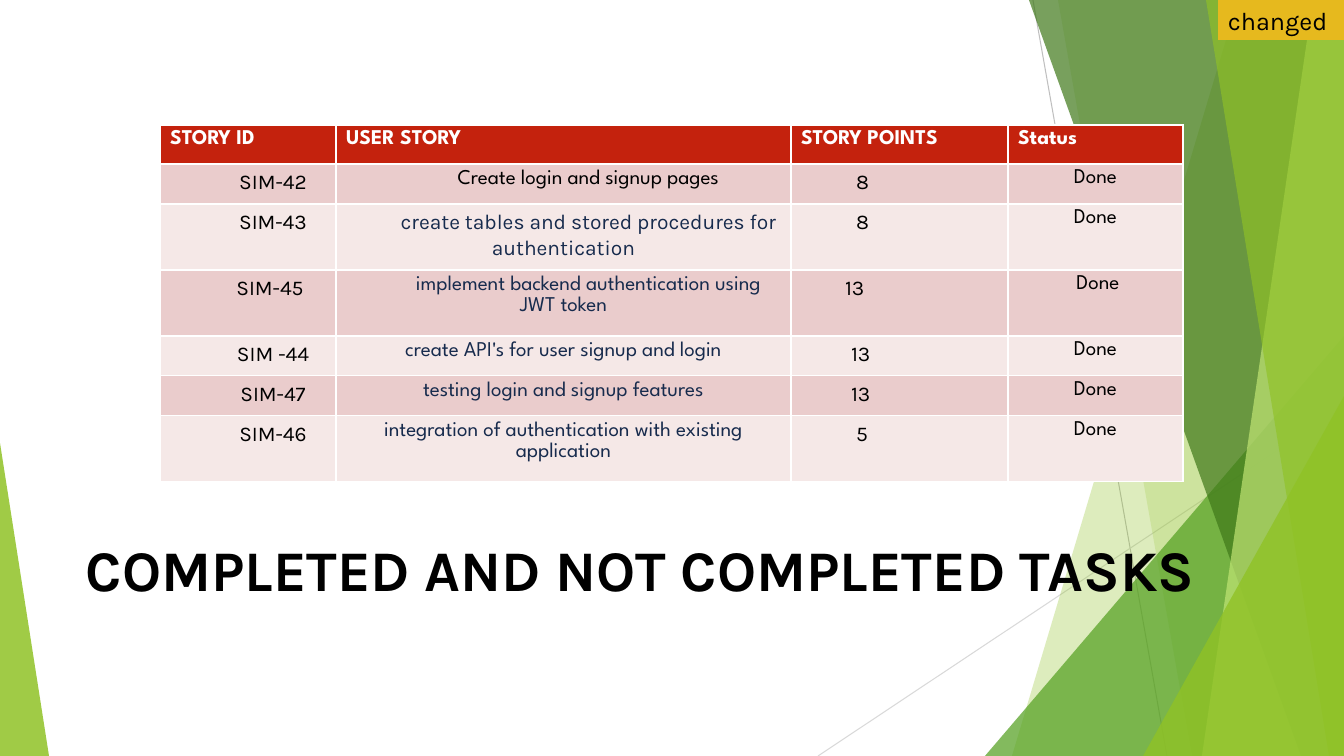
from lxml import etree
from pptx import Presentation
from pptx.dml.color import RGBColor
from pptx.enum.shapes import MSO_CONNECTOR, MSO_SHAPE
from pptx.enum.text import MSO_ANCHOR, PP_ALIGN
from pptx.oxml.ns import qn
from pptx.util import Pt

SCALE = 914400 / 100.8
WIDTH, HEIGHT = 1344, 756
KARLA, SPARTAN = "Karla", "League Spartan"
BLACK, WHITE, NAVY = "000000", "FFFFFF", "172B4D"
RED, PINK, PALE = "C4220D", "EACCCC", "F5E8E7"
LIME, GREEN, FOREST, LIGHT, GOLD = "90C226", "54A021", "3F7819", "C0E474", "E6B91E"

COLUMNS = [176, 455, 217, 175]
ROWS = [39, 40, 66, 66, 40, 40, 66]
HEADERS = ["STORY ID", "USER STORY", "STORY POINTS", "Status"]
# Each cell is its text and first-line indent; the story adds font and colour.
STORIES = [
    (("SIM-42", 50), ("Create login and signup pages", 50, SPARTAN, BLACK), ("8", 55), ("Done", 0)),
    (("SIM-43", 50), ("create tables and stored procedures for authentication", 50, KARLA, NAVY),
     ("8", 55), ("Done", 0)),
    (("SIM-45", 44), ("implement backend authentication using JWT token", 50, SPARTAN, NAVY),
     ("13", 44), ("Done", 5)),
    (("SIM -44", 50), ("create API's for user signup and login", 0, SPARTAN, NAVY),
     ("13", 50), ("Done", 0)),
    (("SIM-47", 50), ("testing login and signup features", 0, SPARTAN, NAVY),
     ("13", 50), ("Done", 0)),
    (("SIM-46", 50), ("integration of authentication with existing application", 0, SPARTAN, NAVY),
     ("5", 55), ("Done", 0)),
]


def px(n):
    return round(n * SCALE)


def rgb(color):
    return RGBColor.from_string(color)


def write(tf, text, font=KARLA, size=15, color=BLACK, bold=False,
          align=PP_ALIGN.LEFT, indent=0, spacing=None, after=0):
    p = tf.paragraphs[0]
    p.alignment = align
    p.space_after = Pt(after)
    if spacing:
        p.line_spacing = spacing
    if indent:
        pPr = p._p.get_or_add_pPr()
        pPr.set("marL", "0")
        pPr.set("indent", str(px(indent)))
    r = p.add_run()
    r.text = text
    r.font.name, r.font.size, r.font.bold = font, Pt(size), bold
    r.font.color.rgb = rgb(color)


class Deck:
    def __init__(self):
        self.prs = Presentation()
        self.prs.slide_width, self.prs.slide_height = px(WIDTH), px(HEIGHT)
        self.slide = self.prs.slides.add_slide(self.prs.slide_layouts[6])
        self.shapes = self.slide.shapes

    def paint(self, sp, color, opacity=100):
        sp.shadow.inherit = False
        sp.line.fill.background()
        sp.fill.solid()
        sp.fill.fore_color.rgb = rgb(color)
        if opacity < 100:
            clr = sp._element.spPr.find(qn("a:solidFill"))[0]
            etree.SubElement(clr, qn("a:alpha")).set("val", str(opacity * 1000))

    def line(self, x1, y1, x2, y2, color):
        cx = self.shapes.add_connector(MSO_CONNECTOR.STRAIGHT, px(x1), px(y1), px(x2), px(y2))
        cx.line.color.rgb = rgb(color)
        cx.line.width = Pt(0.75)
        etree.SubElement(cx._element.spPr, qn("a:effectLst"))

    def band(self, top, bottom, color, opacity):
        """Fill from a slanted edge to the right side of the slide."""
        fb = self.shapes.build_freeform(top, 0, scale=SCALE)
        fb.add_line_segments([(WIDTH, 0), (WIDTH, HEIGHT), (bottom, HEIGHT)], close=True)
        self.paint(fb.convert_to_shape(), color, opacity)

    def triangle(self, x, y, w, apex, color, opacity):
        """Stand a triangle on the slide's bottom edge; apex is 0 left to 1 right."""
        sp = self.shapes.add_shape(MSO_SHAPE.ISOSCELES_TRIANGLE, px(x), px(y), px(w), px(HEIGHT - y))
        sp.adjustments[0] = apex
        self.paint(sp, color, opacity)

    def title(self, x, y, w, h, text):
        tf = self.shapes.add_textbox(px(x), px(y), px(w), px(h)).text_frame
        tf.word_wrap = True
        tf.vertical_anchor = MSO_ANCHOR.BOTTOM
        write(tf, text, size=41, bold=True, spacing=0.9, after=6)

    def label(self, x, y, w, h, text, color):
        sp = self.shapes.add_shape(MSO_SHAPE.RECTANGLE, px(x), px(y), px(w), px(h))
        self.paint(sp, color)
        sp.text_frame.vertical_anchor = MSO_ANCHOR.TOP
        write(sp.text_frame, text, size=18)

    def table(self, x, y, cols, rows):
        tbl = self.shapes.add_table(len(rows), len(cols), px(x), px(y),
                                    px(sum(cols)), px(sum(rows))).table
        tbl.first_row = tbl.horz_banding = False
        for col, w in zip(tbl.columns, cols):
            col.width = px(w)
        for row, h in zip(tbl.rows, rows):
            row.height = px(h)
        return tbl

    def cell(self, cell, fill, text, **style):
        tcPr = cell._tc.get_or_add_tcPr()
        for side in ("lnL", "lnR", "lnT", "lnB"):
            ln = etree.SubElement(tcPr, qn(f"a:{side}"), w=str(Pt(0.98)))
            solid = etree.SubElement(ln, qn("a:solidFill"))
            etree.SubElement(solid, qn("a:srgbClr"), val=WHITE)
        cell.fill.solid()
        cell.fill.fore_color.rgb = rgb(fill)
        write(cell.text_frame, text, **style)


def main():
    deck = Deck()
    deck.line(1033, 0, 1167, HEIGHT, "BFBFBF")
    deck.line(WIDTH, 406, 818, HEIGHT, "D9D9D9")
    deck.band(1238, 1012, LIME, 30)
    deck.band(1058, 1192, LIME, 20)
    deck.triangle(985, 336, 359, 1, GREEN, 72)
    deck.band(1029, 1301, FOREST, 70)
    deck.band(1313, 1202, LIGHT, 70)
    deck.band(1206, 1329, LIME, 65)
    deck.triangle(1143, 396, 201, 1, LIME, 80)
    deck.triangle(0, 443, 49, 0, LIME, 85)

    deck.title(76, 518, 1192, 91, "COMPLETED AND NOT COMPLETED TASKS")

    tbl = deck.table(160, 125, COLUMNS, ROWS)
    for c, header in enumerate(HEADERS):
        deck.cell(tbl.cell(0, c), RED, header, font=SPARTAN, color=WHITE, bold=True)
    body = dict(spacing=1.06, after=8)
    center = dict(align=PP_ALIGN.CENTER)
    for i, (key, story, points, status) in enumerate(STORIES, 1):
        fill = PINK if i % 2 else PALE
        text, indent, font, color = story
        deck.cell(tbl.cell(i, 0), fill, key[0], indent=key[1], **body, **center)
        deck.cell(tbl.cell(i, 1), fill, text, indent=indent, font=font, color=color, **body, **center)
        deck.cell(tbl.cell(i, 2), fill, points[0], indent=points[1], **body)
        deck.cell(tbl.cell(i, 3), fill, status[0], indent=status[1], font=SPARTAN, **center)

    deck.label(1218, 0, 126, 40, "changed", GOLD)
    deck.prs.save("out.pptx")


if __name__ == "__main__":
    main()
